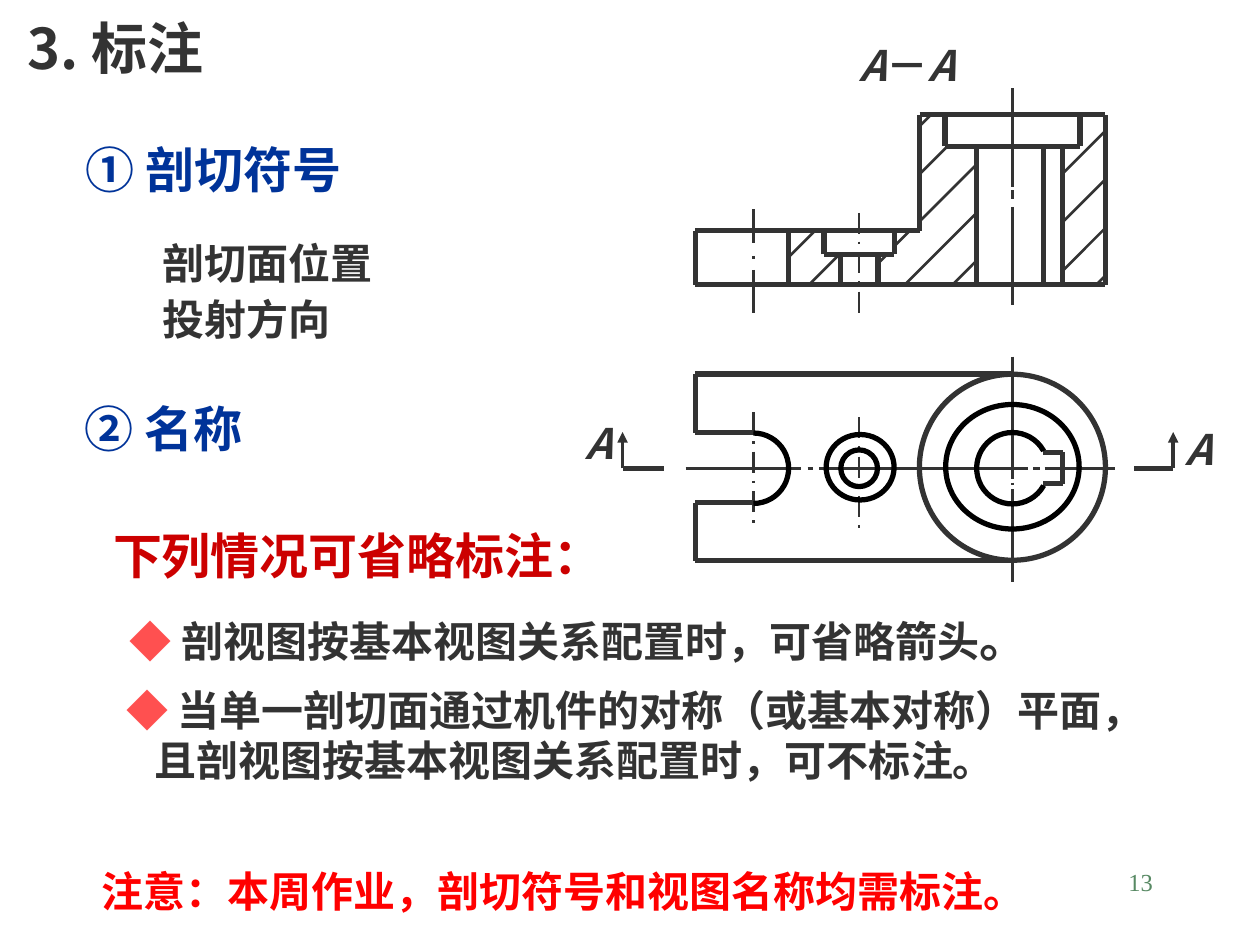
"""Build the slide on labelling a section view, with its two-view drawing."""
from dataclasses import dataclass

from lxml import etree
from pptx import Presentation
from pptx import util as u
from pptx.dml.color import RGBColor
from pptx.enum import dml, shapes, text
from pptx.oxml.ns import qn

COLORS = {"ink": "333333", "black": "000000", "blue": "003399", "crimson": "CC0000",
          "red": "FF0000", "diamond": "FF5050", "green": "578963"}
CJK = "Noto Sans CJK SC"
THICK, THIN = 3, 1.5

LEFT, RIGHT = 14.02, 22.28
SLOT_X, SLOT_END, SMALL_X, BOSS_X = 15.19, 15.9, 17.32, 20.41
BOSS_LEFT, HOLE_LEFT, KEY_LEFT, KEY_RIGHT = 18.54, 19.69, 21.03, 21.42
SINK_LEFT, SINK_RIGHT = 19.05, 21.77
SMALL_SINK_LEFT, SMALL_SINK_RIGHT = 16.61, 18.03
SMALL_LEFT, SMALL_RIGHT = 16.95, 17.7
TOP, SINK_Y, STEP, SMALL_SINK_Y, BASE = 2.31, 2.95, 4.65, 5.13, 5.74
BACK, SLOT_BACK, KEY_BACK, AXIS = 7.54, 8.72, 9.12, 9.44
KEY_FRONT, SLOT_FRONT, FRONT = 9.75, 10.13, 11.3


@dataclass
class Line:
    """A straight stroke between two points."""
    x1: float
    y1: float
    x2: float
    y2: float
    width: float = THICK
    dashed: bool = False
    arrow: bool = False


@dataclass
class Hatch:
    """A 45 degree section stroke rising from its lower left end."""
    x: float
    y: float
    rise: float


@dataclass
class Round:
    """A circle, or an arc when start and end angles are given."""
    x: float
    y: float
    width: float
    height: float
    color: str = "black"
    angles: tuple[float, float] | None = None


def across(y: float, x1: float, x2: float, **style) -> Line:
    """Return a horizontal stroke."""
    return Line(x1, y, x2, y, **style)


def upright(x: float, y1: float, y2: float, **style) -> Line:
    """Return a vertical stroke."""
    return Line(x, y1, x, y2, **style)


SECTION = [
    upright(BOSS_LEFT, STEP, TOP), upright(RIGHT, BASE, TOP),
    upright(SLOT_END, BASE, STEP), upright(LEFT, BASE, STEP),
    *(upright(x, SINK_Y, TOP) for x in (SINK_LEFT, SINK_RIGHT)),
    *(upright(x, BASE, SINK_Y) for x in (HOLE_LEFT, KEY_LEFT, KEY_RIGHT)),
    *(upright(x, SMALL_SINK_Y, STEP) for x in (SMALL_SINK_LEFT, SMALL_SINK_RIGHT)),
    *(upright(x, BASE, SMALL_SINK_Y) for x in (SMALL_LEFT, SMALL_RIGHT)),
    across(BASE, LEFT, RIGHT), across(STEP, LEFT, BOSS_LEFT),
    across(TOP, BOSS_LEFT, RIGHT), across(SINK_Y, SINK_LEFT, SINK_RIGHT),
    across(SMALL_SINK_Y, SMALL_SINK_LEFT, SMALL_SINK_RIGHT),
]
PLAN = [
    across(BACK, LEFT, BOSS_X), across(FRONT, LEFT, BOSS_X),
    upright(LEFT, BACK, SLOT_BACK), upright(LEFT, SLOT_FRONT, FRONT),
    *(across(y, LEFT, SLOT_X) for y in (SLOT_BACK, SLOT_FRONT)),
    *(across(y, KEY_LEFT, KEY_RIGHT) for y in (KEY_BACK, KEY_FRONT)),
    upright(KEY_RIGHT, KEY_BACK, KEY_FRONT),
]
CENTRES = [
    *(upright(SLOT_X, a, b, width=THIN) for a, b in ((4.22, 4.9), (5.16, 5.23), (5.44, 6.3))),
    *(upright(BOSS_X, a, b, width=THIN) for a, b in (
        (1.78, 3.76), (3.84, 4.01), (4.17, 6.15), (7.19, 9.65), (9.73, 9.78), (9.86, 11.73))),
    *(across(AXIS, a, b, width=THIN) for a, b in (
        (13.82, 16.15), (16.28, 16.38), (16.51, 20.73), (20.83, 20.96), (21.06, 22.48))),
    upright(SMALL_X, 4.29, 6.32, width=THIN, dashed=True),
    upright(SMALL_X, 8.41, 10.67, width=THIN, dashed=True),
    upright(SLOT_X, 8.31, 10.64, width=THIN, dashed=True),
]
CUT_MARKS = [
    across(AXIS, 12.55, 13.39), across(AXIS, 22.86, 23.65),
    *(upright(x, AXIS, 8.71, width=0, arrow=True) for x in (12.55, 23.65)),
]
HATCHING = [
    Hatch(BOSS_LEFT, 2.54, 0.23), Hatch(BOSS_LEFT, 3.51, 0.56), Hatch(BOSS_LEFT, 4.46, 1.16),
    Hatch(SLOT_END, 5.18, 0.53), Hatch(16.31, BASE, 0.61), Hatch(SMALL_RIGHT, 5.31, 0.18),
    Hatch(SMALL_SINK_RIGHT, 4.96, 0.32), Hatch(18.24, BASE, 1.46), Hatch(19.2, BASE, 0.49),
    *(Hatch(KEY_RIGHT, 3.5 + 0.98 * step, 0.86) for step in range(3)),
    Hatch(22.1, BASE, 0.18),
]
ROUNDS = [
    Round(BOSS_X, AXIS, 1.44, 1.44, angles=(29, 331)),
    Round(SLOT_X, AXIS, 1.42, 1.42, angles=(270, 90)),
    Round(BOSS_X, AXIS - 0.02, 3.75, 3.75, "ink"),
    Round(BOSS_X, AXIS - 0.03, 2.69, 2.51),
    Round(SMALL_X, AXIS, 0.74, 0.74),
    Round(SMALL_X + 0.02, AXIS - 0.02, 1.37, 1.32),
]


def rgb(name: str) -> RGBColor:
    """Look up a named colour."""
    return RGBColor.from_string(COLORS[name])


def draw_line(slide, part: Line) -> None:
    """Draw a stroke as a connector without a shadow."""
    ends = (u.Cm(v) for v in (part.x1, part.y1, part.x2, part.y2))
    stroke = slide.shapes.add_connector(shapes.MSO_CONNECTOR.STRAIGHT, *ends)
    stroke.line.color.rgb = rgb("ink")
    stroke.line.width = u.Pt(part.width)
    if part.dashed:
        stroke.line.dash_style = dml.MSO_LINE.LONG_DASH_DOT
    properties = stroke._element.spPr
    if part.arrow:
        etree.SubElement(properties.find(qn("a:ln")), qn("a:tailEnd"), type="triangle")
    etree.SubElement(properties, qn("a:effectLst"))


def draw_round(slide, part: Round) -> None:
    """Draw an unfilled circle or arc about its centre."""
    preset = shapes.MSO_SHAPE.ARC if part.angles else shapes.MSO_SHAPE.OVAL
    outline = slide.shapes.add_shape(
        preset, u.Cm(part.x - part.width / 2), u.Cm(part.y - part.height / 2),
        u.Cm(part.width), u.Cm(part.height))
    for index, angle in enumerate(part.angles or ()):
        outline.adjustments[index] = angle * 0.6
    outline.shadow.inherit = False
    outline.fill.background()
    outline.line.color.rgb = rgb(part.color)
    outline.line.width = u.Pt(THICK)


def write(slide, paragraphs, at, *, holder=None, size=24, color="ink", bold=True, font=CJK,
          align="LEFT", anchor="TOP", spacing=1.0, wrap=True, inset=True, hanging=0.0) -> None:
    """Write paragraphs of (text, overrides) runs in a text box or placeholder."""
    place = [u.Cm(v) for v in at]
    box = holder if holder is not None else slide.shapes.add_textbox(*place)
    box.left, box.top, box.width, box.height = place
    frame = box.text_frame
    frame.word_wrap = wrap
    frame.auto_size = text.MSO_AUTO_SIZE.SHAPE_TO_FIT_TEXT
    frame.vertical_anchor = text.MSO_ANCHOR[anchor]
    if not inset:
        frame.margin_left = frame.margin_right = frame.margin_top = frame.margin_bottom = 0
    if isinstance(paragraphs, str):
        paragraphs = [[(line, {})] for line in paragraphs.split("\n")]
    for index, runs in enumerate(paragraphs):
        paragraph = frame.add_paragraph() if index else frame.paragraphs[0]
        paragraph.alignment = text.PP_ALIGN[align]
        paragraph.line_spacing = spacing
        paragraph.space_before = u.Pt(0)
        if holder is not None:
            settings = paragraph._p.get_or_add_pPr()
            settings.set("marL", str(u.Cm(hanging if index else 0)))
            settings.set("indent", "0")
            etree.SubElement(settings, qn("a:buNone"))
        for words, change in runs:
            run = paragraph.add_run()
            run.text = words
            run.font.name = font
            run.font.size = u.Pt(change.get("size", size))
            run.font.bold = bold
            run.font.italic = change.get("italic", False)
            run.font.color.rgb = rgb(change.get("color", color))
            etree.SubElement(run._r.get_or_add_rPr(), qn("a:ea"), typeface=font)


def main() -> None:
    """Assemble and save the slide."""
    deck = Presentation()
    deck.slide_width, deck.slide_height = u.Cm(25.4), u.Cm(19.05)
    slide = deck.slides.add_slide(deck.slide_layouts.get_by_name("Two Content"))
    title, arrow_rule, label_rule = list(slide.placeholders)[:3]
    diamond, slanted = ("◆ ", {"color": "diamond"}), ("A", {"italic": True})

    write(slide, "13", (18.21, 17.35, 5.28, 1.27), size=14, color="green", bold=False,
          font="Times New Roman", align="RIGHT")
    write(slide, "3. 标注", (0.3, 0.15, 8.89, 1.6), holder=title, size=32)
    write(slide, "② 名称", (1.45, 8.05, 9.04, 1.32), size=28, color="blue", spacing=0.9)
    write(slide, "① 剖切符号", (1.47, 2.82, 6.48, 1.32), size=28, color="blue",
          spacing=0.9, anchor="MIDDLE", wrap=False)
    write(slide, [[slanted, ("－", {}), slanted]], (15.82, 0.79, 4.93, 1.02),
          align="CENTER", inset=False)
    for x, y in ((11.81, 8.41), (23.9, 8.53)):
        write(slide, [[slanted]], (x, y, 0.41, 1.02), align="CENTER", wrap=False, inset=False)

    strokes = [Line(h.x, h.y, h.x + h.rise, h.y - h.rise, THIN) for h in HATCHING]
    for part in SECTION + strokes + PLAN + CENTRES + CUT_MARKS:
        draw_line(slide, part)
    for part in ROUNDS:
        draw_round(slide, part)

    write(slide, "剖切面位置\n投射方向", (3.02, 4.57, 6.65, 2.49), spacing=1.1)
    write(slide, [[diamond, ("剖视图按基本视图关系配置时，可省略箭头", {}), ("。", {"size": 28})]],
          (2.36, 12.14, 21.87, 1.45), holder=arrow_rule)
    write(slide, [[diamond, ("当单一剖切面通过机件的对称（或基本对称）平面，", {})],
                  [("且剖视图按基本视图关系配置时，可不标注。", {})]],
          (2.29, 13.67, 22.45, 2.29), holder=label_rule, hanging=0.58)
    write(slide, "下列情况可省略标注：", (2.03, 10.46, 11.23, 1.45), size=28, color="crimson")
    write(slide, "注意：本周作业，剖切符号和视图名称均需标注。", (1.8, 17.22, 20.19, 1.24),
          color="red", spacing=1.1)
    deck.save("out.pptx")


if __name__ == "__main__":
    main()
